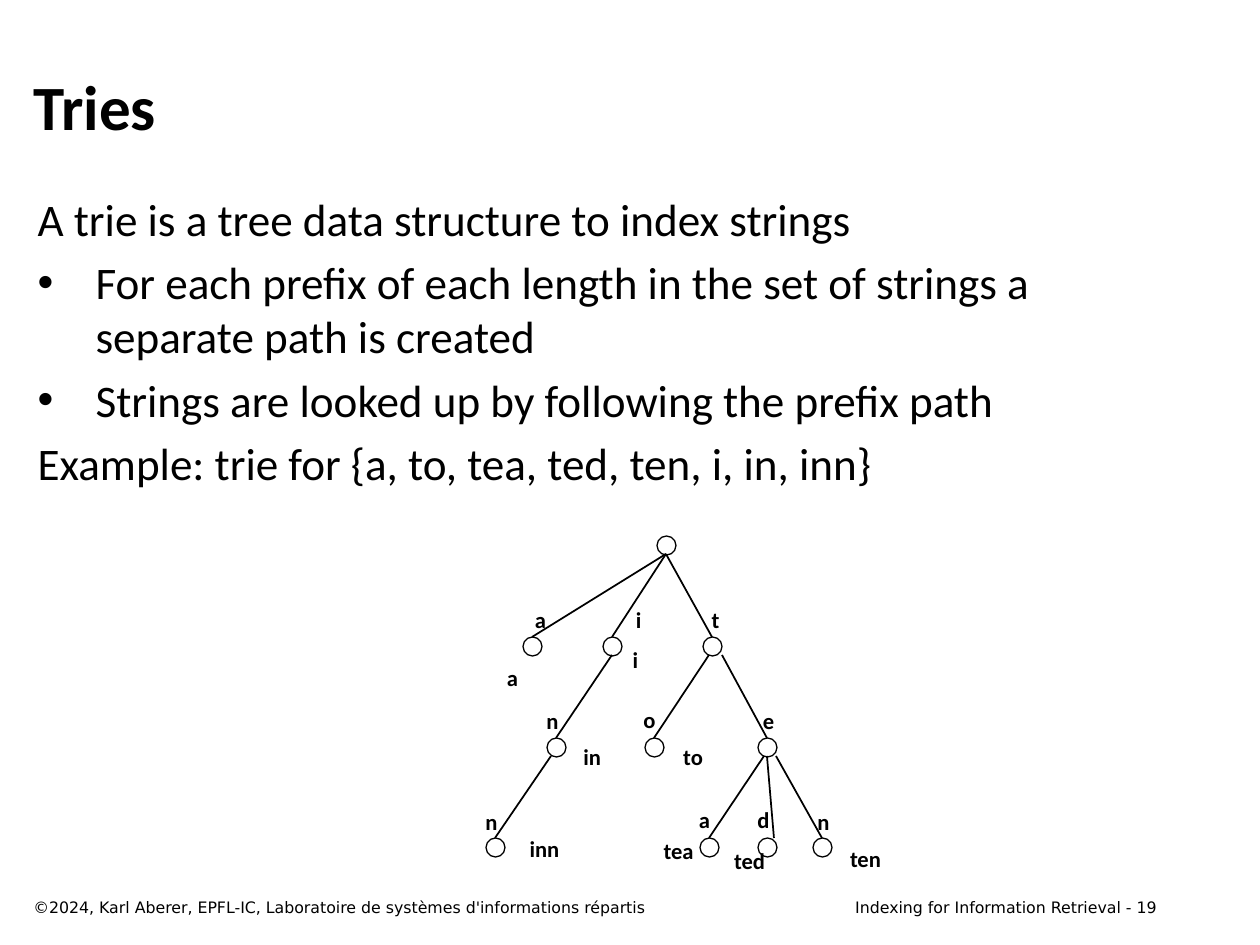
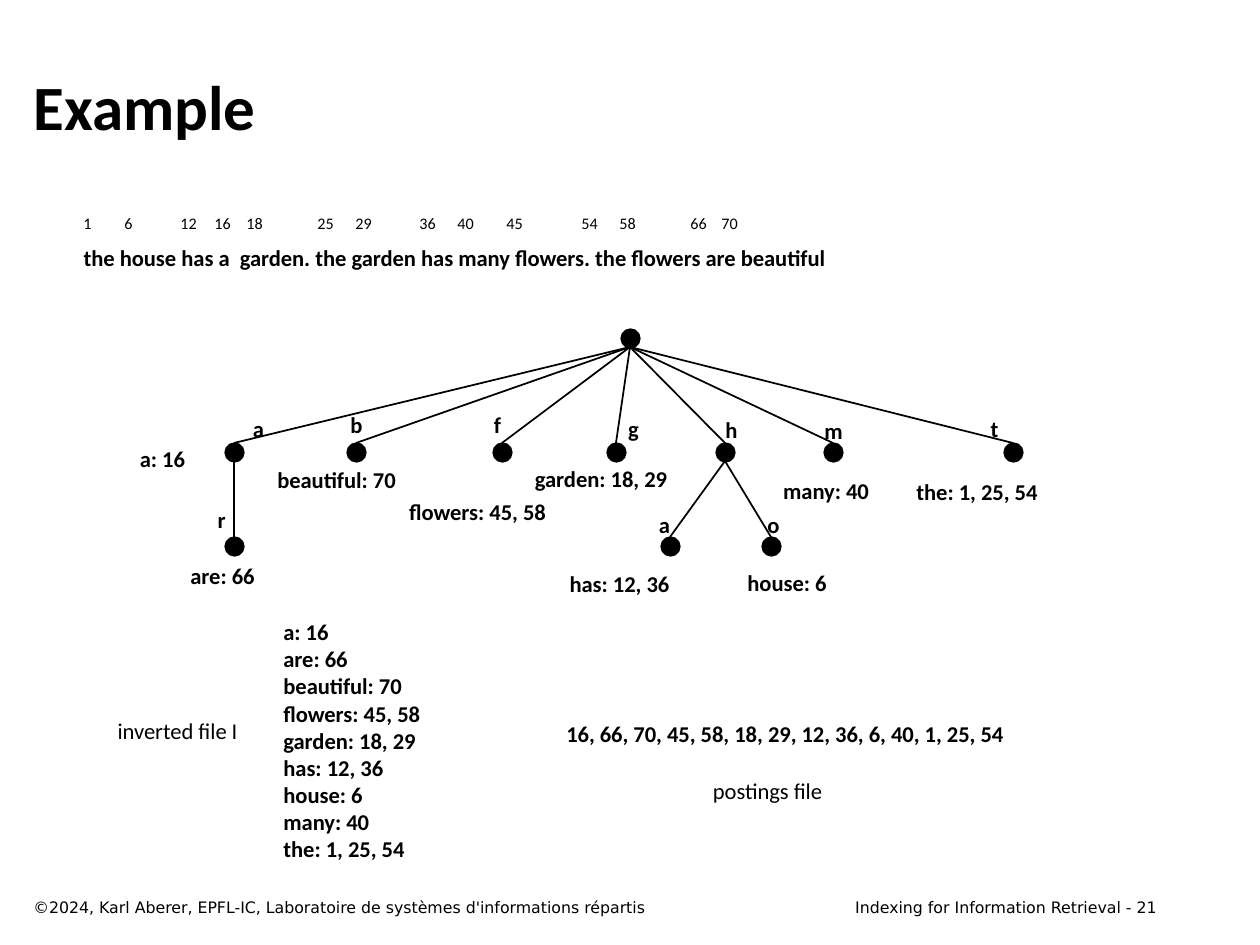
from collections import namedtuple
from itertools import chain

from lxml.etree import SubElement
from pptx import Presentation
from pptx.dml.color import RGBColor
from pptx.enum.shapes import MSO_CONNECTOR as Connector, MSO_SHAPE as Shape
from pptx.enum.text import MSO_ANCHOR as Anchor, MSO_AUTO_SIZE as AutoSize, PP_ALIGN as Align
from pptx.oxml.ns import qn
from pptx.util import Pt

EMU_PER_PX = 914400 / 126
COLOURS = {"ink": "000000", "paper": "FFFFFF"}
TEXT_FONT, FOOTER_FONT = "Calibri", "DejaVu Sans"
LABEL_SIZE = 12.9
RADIUS = 9

Box = namedtuple("Box", "left top width height")
Node = namedtuple("Node", "prefix x letter_at entry entry_at start_shift end_shift",
                  defaults=(None, "", (0, 0), 0, 0))

TITLE_BOX = Box(21, 42, 1144, 126)
COPYRIGHT_BOX = Box(21, 892, 809, 32)
COURSE_BOX = Box(802, 892, 367, 32)

INTRO = [
    ("A trie is a tree data structure to index strings", False),
    ("For each prefix of each length in the set of strings a separate path is created", True),
    ("Strings are looked up by following the prefix path", True),
    ("Example: trie for {a, to, tea, ted, ten, i, in, inn}", False),
]

WORD_TRIE = [
    Node("", 180),
    Node("a", 46, (8, -26), "a", (-20, 32)),
    Node("i", 126, (26, -26), "i", (23, 14)),
    Node("t", 226, (3, -26)),
    Node("in", 70, (-4, -26), "in", (36, 10)),
    Node("to", 168, (-5, -27), "to", (39, 10), -3),
    Node("te", 281, (1, -26), start_shift=10),
    Node("inn", 9, (-4, -25), "inn", (49, 2), -5),
    Node("tea", 223, (-5, -27), "tea", (-31, 4), -3),
    Node("ted", 281, (-4, -27), "ted", (-18, 14), 0, 7),
    Node("ten", 336, (1, -25), "ten", (43, 12), 9),
]

POSTINGS = {
    "a": [16], "are": [66], "beautiful": [70], "flowers": [45, 58], "garden": [18, 29],
    "has": [12, 36], "house": [6], "many": [40], "the": [1, 25, 54],
}
SENTENCE = "the house has a  garden. the garden has many flowers. the flowers are beautiful"
START_OFFSETS = {
    1: 0, 6: 41, 12: 97, 16: 131, 18: 163, 25: 234, 29: 272,
    36: 336, 40: 374, 45: 423, 54: 498, 58: 536, 66: 607, 70: 638,
}


def join_numbers(numbers):
    """Return numbers as a comma-separated line."""
    return ", ".join(map(str, numbers))


def posting_line(word):
    """Return a word with the positions where it occurs."""
    return f"{word}: {join_numbers(POSTINGS[word])}"


INDEX_TRIE = [
    Node("", 405),
    Node("a", 9, (24, -23), posting_line("a"), (-72, 7)),
    Node("b", 131, (0, -27), posting_line("beautiful"), (-20, 28)),
    Node("f", 277, (-5, -27), posting_line("flowers"), (-25, 60)),
    Node("g", 391, (17, -23), posting_line("garden"), (-15, 27)),
    Node("h", 500, (6, -22)),
    Node("m", 608, (0, -21), posting_line("many"), (-7, 39)),
    Node("t", 788, (-19, -23), posting_line("the"), (-36, 40)),
    Node("ar", 9, (-13, -26), posting_line("are"), (-12, 30)),
    Node("ha", 445, (-6, -21), posting_line("has"), (-51, 38)),
    Node("ho", 546, (2, -21), posting_line("house"), (16, 37)),
]


def px(length):
    """Turn px into EMU."""
    return round(length * EMU_PER_PX)


def colour(name):
    """Look up a named colour."""
    return RGBColor.from_string(COLOURS[name])


def place(shape, box):
    """Move and size a shape to a box."""
    shape.left, shape.top, shape.width, shape.height = map(px, box)


def style_runs(para, size, bold=False, font=TEXT_FONT):
    """Format every run of a paragraph."""
    for span in para.runs:
        span.font.name, span.font.size, span.font.bold = font, Pt(size), bold
        span.font.color.rgb = colour("ink")


def add_text(page, box, text, size=LABEL_SIZE, bold=False, font=TEXT_FONT,
             align=Align.LEFT, wrap=False):
    """Add a text box with one format throughout."""
    shape = page.shapes.add_textbox(*map(px, box))
    frame = shape.text_frame
    frame.text = text
    frame.word_wrap = wrap
    frame.auto_size = AutoSize.NONE if wrap else AutoSize.SHAPE_TO_FIT_TEXT
    for para in frame.paragraphs:
        para.alignment = align
        style_runs(para, size, bold, font)


def add_label(page, x, y, text, bold=True):
    """Add a one-line label centred on a point."""
    width = 32 + 11 * len(text)
    add_text(page, Box(x - width // 2, y - 20, width, 40), text, bold=bold, align=Align.CENTER)


def add_page(deck, title, number):
    """Add a page with its title and footer."""
    page = deck.slides.add_slide(deck.slide_layouts[1])
    page.background.fill.solid()
    page.background.fill.fore_color.rgb = colour("paper")
    place(page.shapes.title, TITLE_BOX)
    frame = page.shapes.title.text_frame
    frame.text = title
    frame.auto_size = AutoSize.NONE
    frame.vertical_anchor = Anchor.MIDDLE
    frame.paragraphs[0].alignment = Align.LEFT
    style_runs(frame.paragraphs[0], 36, bold=True)
    add_text(page, COPYRIGHT_BOX,
             "©2024, Karl Aberer, EPFL-IC, Laboratoire de systèmes d'informations répartis",
             9, font=FOOTER_FONT, wrap=True)
    add_text(page, COURSE_BOX, f"Indexing for Information Retrieval - {number}",
             9, font=FOOTER_FONT, align=Align.RIGHT, wrap=True)
    return page


def set_bullet(para, bulleted):
    """Give a paragraph a hanging bullet or none."""
    props = para._p.get_or_add_pPr()
    indent = px(58) if bulleted else 0
    props.set("marL", str(indent))
    props.set("indent", str(-indent))
    if bulleted:
        SubElement(props, qn("a:buChar"), char="•")
    else:
        SubElement(props, qn("a:buNone"))


def fill_body(page, box, lines, size, bold=False):
    """Fill the body placeholder with plain or bulleted lines."""
    body = page.placeholders[1]
    place(body, box)
    frame = body.text_frame
    frame.text = "\n".join(text for text, _ in lines)
    frame.auto_size = AutoSize.NONE
    for index, (para, (_, bulleted)) in enumerate(zip(frame.paragraphs, lines)):
        para.alignment = Align.LEFT
        para.space_before = Pt(5.2 if index else 0)
        set_bullet(para, bulleted)
        style_runs(para, size, bold)


def add_edge(page, start, end):
    """Draw a line between two points."""
    edge = page.shapes.add_connector(Connector.STRAIGHT, *map(px, (*start, *end)))
    edge.line.color.rgb = colour("ink")
    edge.line.width = Pt(1)
    SubElement(edge._element.spPr, qn("a:effectLst"))


def add_node(page, x, y, filled):
    """Draw a round trie node centred on a point."""
    size = 2 * RADIUS + 1
    disc = page.shapes.add_shape(Shape.OVAL, *map(px, (x - RADIUS, y - RADIUS, size, size)))
    disc.shadow.inherit = False
    disc.line.color.rgb = colour("ink")
    disc.line.width = Pt(0.75)
    if filled:
        disc.fill.solid()
        disc.fill.fore_color.rgb = colour("ink")
    else:
        disc.fill.background()


def draw_trie(page, box, nodes, rows, filled):
    """Draw a trie whose depths lie on the given rows of a box."""
    centres = {node.prefix: (box.left + node.x, box.top + rows[len(node.prefix)])
               for node in nodes}
    for node in nodes:
        x, y = centres[node.prefix]
        add_node(page, x, y, filled)
        if node.prefix:
            parent_x, parent_y = centres[node.prefix[:-1]]
            add_edge(page, (parent_x + node.start_shift, parent_y + RADIUS),
                     (x + node.end_shift, y - RADIUS))
            add_label(page, x + node.letter_at[0], y + node.letter_at[1], node.prefix[-1])
        if node.entry:
            add_label(page, x + node.entry_at[0], y + node.entry_at[1], node.entry)


def draw_sentence(page, box):
    """Show the sentence below the start positions of its words."""
    for start, offset in START_OFFSETS.items():
        add_text(page, Box(box.left + offset, box.top, 50, 32), str(start), 9.2)
    fill_body(page, Box(box.left, box.top + 31, box.width, box.height - 31),
              [(SENTENCE, False)], LABEL_SIZE, bold=True)


def draw_files(page, box):
    """Show the inverted file beside the postings file."""
    add_text(page, Box(box.left + 167, box.top, 180, 260),
             "\n".join(map(posting_line, POSTINGS)), bold=True)
    add_label(page, box.left + 73, box.top + 119, "inverted file I", bold=False)
    add_label(page, box.left + 681, box.top + 122,
              join_numbers(chain.from_iterable(POSTINGS.values())))
    add_label(page, box.left + 663, box.top + 179, "postings file", bold=False)


def build_tries_page(deck):
    """Introduce tries with a small word trie."""
    page = add_page(deck, "Tries", 19)
    fill_body(page, Box(25, 185, 1144, 693), INTRO, 25.8)
    draw_trie(page, Box(486, 536, 345, 321), WORD_TRIE, (9, 110, 211, 311), filled=False)


def build_example_page(deck):
    """Show a sentence, its index trie and the resulting files."""
    page = add_page(deck, "Example", 21)
    draw_sentence(page, Box(71, 207, 1056, 101))
    draw_trie(page, Box(225, 329, 797, 226), INDEX_TRIE, (9, 123, 217), filled=True)
    draw_files(page, Box(104, 612, 928, 260))


def main():
    """Build and save the deck."""
    deck = Presentation()
    deck.slide_width, deck.slide_height = px(1260), px(945)
    build_tries_page(deck)
    build_example_page(deck)
    deck.save("out.pptx")


if __name__ == "__main__":
    main()
